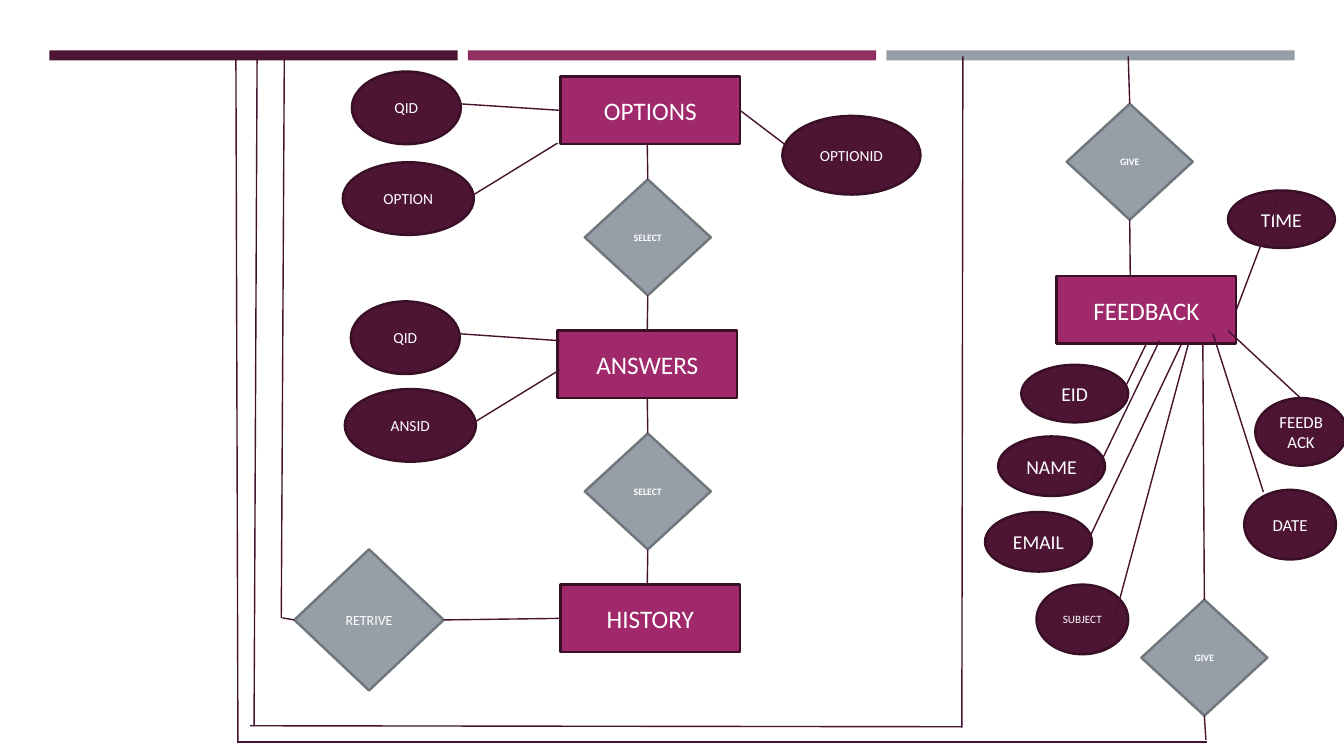
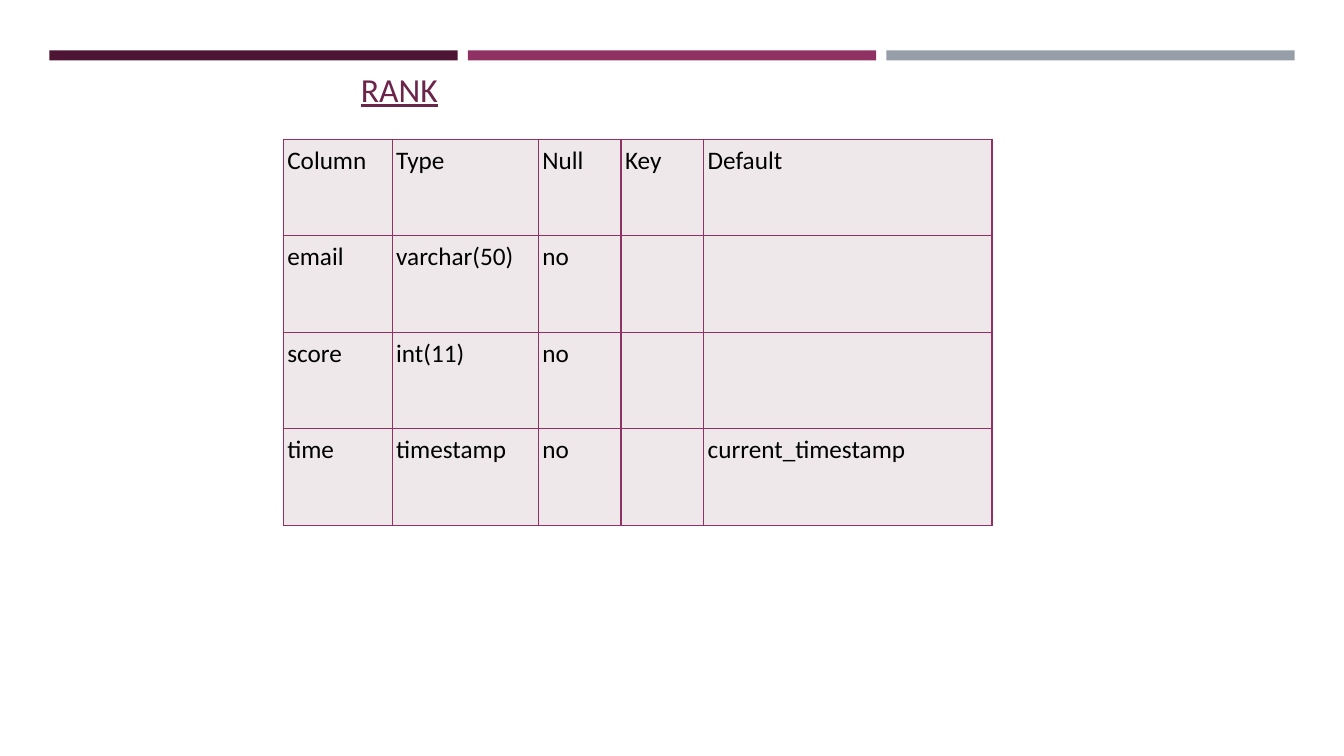
import lxml.etree
import pptx
import pptx.dml.color
import pptx.enum.shapes
import pptx.enum.text
import pptx.oxml.ns
import pptx.util

SHAPE = pptx.enum.shapes.MSO_SHAPE
ALIGN = pptx.enum.text.PP_ALIGN
ANCHOR = pptx.enum.text.MSO_ANCHOR
qn = pptx.oxml.ns.qn

FONT = "Calibri"
PLUM, MAGENTA, GREY = "4D1434", "903163", "969FA7"
ROSE, WHITE, BLACK = "9F296B", "FFFFFF", "000000"
OUTLINE, GREY_OUTLINE, LINK = "390F26", "6F767C", "45122F"
TITLE, CELL = "6C254A", "EEE8EA"

deck = pptx.Presentation()
deck.slide_width = pptx.util.Inches(13.33)
deck.slide_height = pptx.util.Inches(7.5)

# Every length counts cells of a grid of 1333 columns by 750 rows
COL = deck.slide_width / 1333
ROW = deck.slide_height / 750


def grid(*lengths):
    """Turn alternating columns and rows into slide lengths."""
    return [round(n * (ROW if i % 2 else COL)) for i, n in enumerate(lengths)]


def paint(target, colour):
    """Give a fill a solid colour, or a font or line its colour."""
    if hasattr(target, "solid"):
        target.solid()
        target = target.fore_color
    else:
        target = target.color
    target.rgb = pptx.dml.color.RGBColor.from_string(colour)


# Slides
diagram = deck.slides.add_slide(deck.slide_layouts[6])
rank = deck.slides.add_slide(deck.slide_layouts[5])

# Bands along the top, moved to the master that both slides share
for i, colour in enumerate([PLUM, MAGENTA, GREY]):
    band = diagram.shapes.add_shape(SHAPE.RECTANGLE, *grid(49 + 415 * i, 50, 405, 10))
    band.shadow.inherit = False
    paint(band.fill, colour)
    band.line.fill.background()
    band.element.nvSpPr.cNvPr.set("id", str(100 + i))
    deck.slide_master.shapes.element.append(band.element)

# Entity diagram: left, top, width, height, text size
entity, relation, attribute = "entity", "relation", "attribute"
looks = {
    entity: (SHAPE.RECTANGLE, ROSE, OUTLINE),
    relation: (SHAPE.DIAMOND, GREY, GREY_OUTLINE),
    attribute: (SHAPE.OVAL, PLUM, OUTLINE),
}
parts = {
    "options": (entity, "OPTIONS", 556, 76, 178, 67, 18),
    "answers": (entity, "ANSWERS", 553, 328, 178, 67, 18),
    "history": (entity, "HISTORY", 556, 580, 178, 67, 18),
    "feedback": (entity, "FEEDBACK", 1048, 274, 178, 67, 18),
    "select answer": (relation, "SELECT", 580, 178, 125, 115, 7),
    "select history": (relation, "SELECT", 580, 430, 125, 115, 7),
    "retrieve": (relation, "RETRIVE", 292, 545, 148, 140, 10),
    "give top": (relation, "GIVE", 1058, 103, 125, 115, 7),
    "give bottom": (relation, "GIVE", 1132, 595, 125, 115, 7),
    "option question": (attribute, "QID", 349, 71, 108, 72, 11),
    "option text": (attribute, "OPTION", 340, 161, 130, 72, 11),
    "option id": (attribute, "OPTIONID", 776, 115, 137, 78, 11),
    "answer question": (attribute, "QID", 348, 299, 108, 72, 11),
    "answer id": (attribute, "ANSID", 342, 386, 130, 72, 11),
    "feedback text": (attribute, "FEEDBACK", 1245, 395, 91, 67, 12),
    "date": (attribute, "DATE", 1234, 486, 91, 69, 12),
    "subject": (attribute, "SUBJECT", 1028, 580, 91, 69, 8),
    "feedback id": (attribute, "EID", 1013, 362, 106, 57, 14),
    "name": (attribute, "NAME", 990, 433, 106, 59, 14),
    "email": (attribute, "EMAIL", 977, 508, 106, 59, 14),
    "time": (attribute, "TIME", 1218, 189, 106, 57, 14),
}
drawn = {}
for key, (role, label, left, top, width, height, size) in parts.items():
    preset, fill, outline = looks[role]
    part = diagram.shapes.add_shape(preset, *grid(left, top, width, height))
    part.shadow.inherit = False
    paint(part.fill, fill)
    paint(part.line, outline)
    part.line.width = pptx.util.Pt(1.75)
    part.text_frame.vertical_anchor = ANCHOR.MIDDLE
    paragraph = part.text_frame.paragraphs[0]
    paragraph.alignment = ALIGN.CENTER
    run = paragraph.add_run()
    run.text = label
    formats = {"name": FONT, "size": pptx.util.Pt(size), "bold": size == 7}
    for attribute_name, value in formats.items():
        setattr(run.font, attribute_name, value)
    paint(run.font, WHITE)
    drawn[key] = part

# Links: an end is a grid point, or a part with its side
TOP, LEFT, BOTTOM, RIGHT = range(4)
links = [
    # Options, answers and history
    ((642, 143), ("select answer", TOP)),
    (("select answer", BOTTOM), (642, 328)),
    (("answers", BOTTOM), ("select history", TOP)),
    (("select history", BOTTOM), (642, 580)),
    ((456, 103), ("options", LEFT)),
    ((405, 233), (553, 142)),
    ((844, 193), ("options", RIGHT)),
    ((454, 331), (555, 338)),
    ((407, 458), (555, 367)),
    (("retrieve", RIGHT), ("history", LEFT)),
    (("retrieve", LEFT), (280, 613)),
    # Long runs around the diagram
    ((279, 613), (282, 59)),
    ((955, 56), (954, 722)),
    ((954, 721), (248, 720)),
    ((252, 720), (255, 52)),
    ((1197, 736), (236, 736)),
    ((236, 737), (234, 58)),
    # Feedback
    ((1119, 56), ("give top", TOP)),
    (("give top", BOTTOM), (1121, 273)),
    ((1290, 395), (1218, 328)),
    ((1253, 488), (1203, 331)),
    ((1105, 615), (1179, 340)),
    ((1103, 411), (1137, 341)),
    ((1080, 483), (1150, 338)),
    ((1075, 545), (1172, 341)),
    ((1226, 308), (1271, 189)),
    ((1193, 341), ("give bottom", TOP)),
    (("give bottom", BOTTOM), (1196, 734)),
]
for ends in links:
    link = diagram.shapes.add_connector(
        pptx.enum.shapes.MSO_CONNECTOR.STRAIGHT,
        *[n for end in ends for n in ((0, 0) if end[0] in drawn else grid(*end))])
    for end, join in zip(ends, (link.begin_connect, link.end_connect)):
        if end[0] in drawn:
            join(drawn[end[0]], end[1])
    paint(link.line, LINK)
    link.line.width = pptx.util.Pt(1)
    lxml.etree.SubElement(link.element.spPr, qn("a:effectLst"))

# Rank: title
heading = rank.shapes.title
heading.left, heading.top, heading.width, heading.height = grid(348, 63, 97, 50)
frame_formats = {
    "word_wrap": False,
    "auto_size": pptx.enum.text.MSO_AUTO_SIZE.NONE,
    "vertical_anchor": ANCHOR.MIDDLE,
}
for attribute_name, value in frame_formats.items():
    setattr(heading.text_frame, attribute_name, value)
heading.text_frame.text = "RANK"
paragraph = heading.text_frame.paragraphs[0]
paragraph.alignment = ALIGN.LEFT
title_font = paragraph.runs[0].font
for attribute_name, value in {"name": FONT, "size": pptx.util.Pt(24), "underline": True}.items():
    setattr(title_font, attribute_name, value)
paint(title_font, TITLE)

# Rank: table of columns
fields = [
    ["Column", "Type", "Null", "Key", "Default"],
    ["email", "varchar(50)", "no", "", ""],
    ["score", "int(11)", "no", "", ""],
    ["time", "timestamp", "no", "", "current_timestamp"],
]
widths = [108, 145, 82, 82, 286]
row_height = 95.75
schema = rank.shapes.add_table(
    len(fields), len(widths), *grid(281, 138, sum(widths), row_height * len(fields))).table
for column, width in zip(schema.columns, widths):
    column.width = round(width * COL)
margins = dict.fromkeys(
    ["margin_left", "margin_right", "margin_top", "margin_bottom"], pptx.util.Inches(0.04))
for r, texts in enumerate(fields):
    schema.rows[r].height = round(row_height * ROW)
    for c, text in enumerate(texts):
        cell = schema.cell(r, c)
        for attribute_name, value in margins.items():
            setattr(cell, attribute_name, value)
        cell.text = text
        paragraph = cell.text_frame.paragraphs[0]
        paragraph.line_spacing = 1.07
        paragraph.space_after = pptx.util.Pt(8)
        for run in paragraph.runs:
            for attribute_name, value in {
                    "name": FONT, "size": pptx.util.Pt(18), "bold": False}.items():
                setattr(run.font, attribute_name, value)
            paint(run.font, BLACK)
        # Borders come before the fill in the cell properties
        properties = cell._tc.get_or_add_tcPr()
        for side in ["a:lnL", "a:lnR", "a:lnT", "a:lnB"]:
            border = lxml.etree.SubElement(properties, qn(side), w=str(pptx.util.Pt(1)))
            solid = lxml.etree.SubElement(border, qn("a:solidFill"))
            lxml.etree.SubElement(solid, qn("a:srgbClr"), val=MAGENTA)
        paint(cell.fill, CELL)

deck.save("out.pptx")
